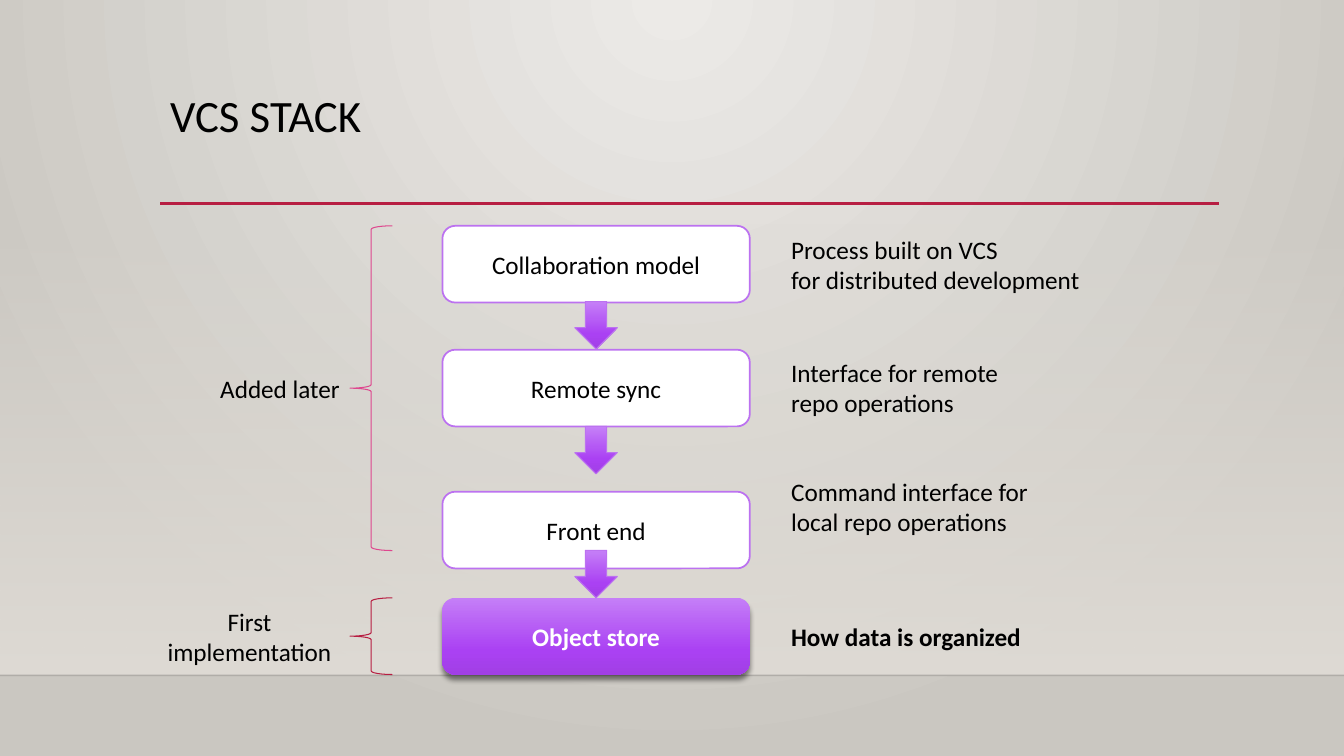
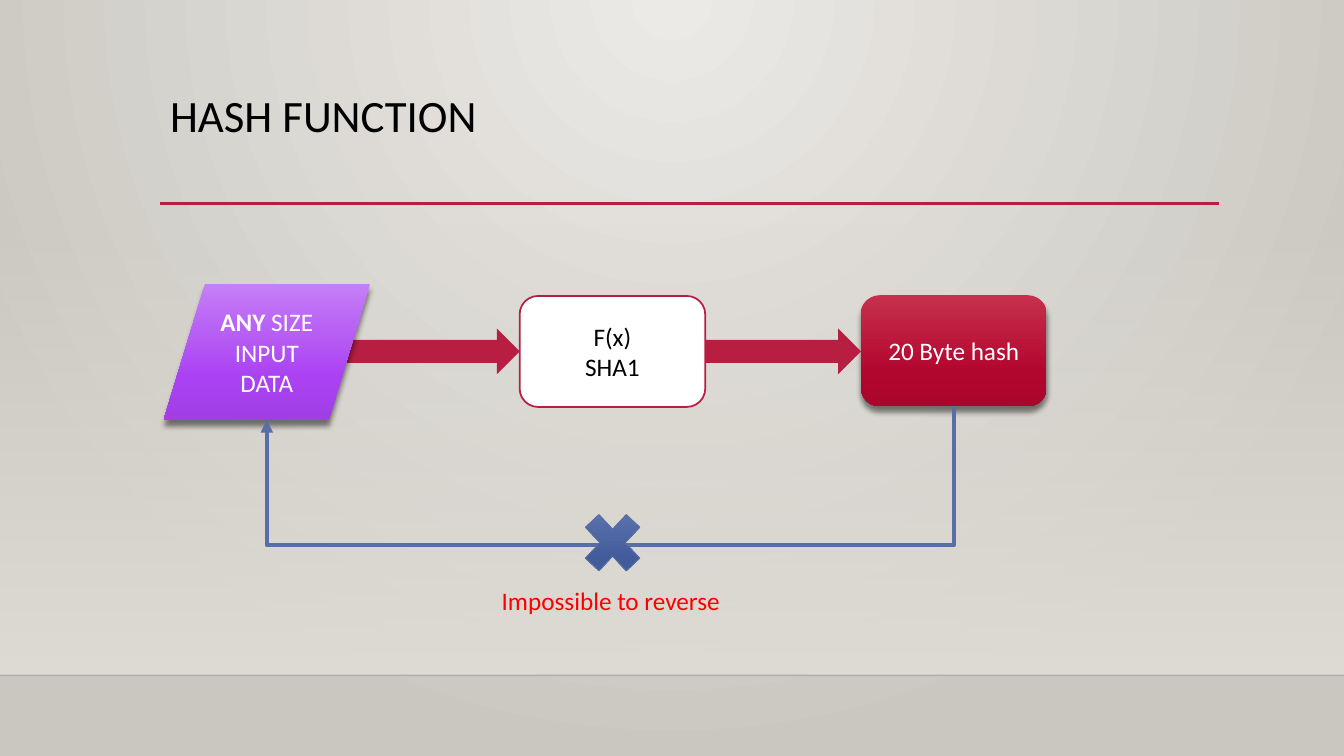
from dataclasses import dataclass
from typing import Any, Optional

from lxml.etree import SubElement
from pptx import Presentation
from pptx.dml.color import RGBColor
from pptx.enum.shapes import MSO_CONNECTOR, MSO_SHAPE
from pptx.enum.text import MSO_ANCHOR, PP_ALIGN
from pptx.oxml.ns import qn
from pptx.util import Pt

BLACK = RGBColor(0x00, 0x00, 0x00)
WHITE = RGBColor(0xFF, 0xFF, 0xFF)
RED = RGBColor(0xFF, 0x00, 0x00)
CRIMSON = RGBColor(0xB7, 0x1E, 0x42)
PINK = RGBColor(0xDE, 0x47, 0x8E)
VIOLET = RGBColor(0xBC, 0x72, 0xF0)
BLUE = RGBColor(0x58, 0x6E, 0xA6)
SAND = RGBColor(0xDF, 0xDB, 0xD5)
BACKDROP_LIGHT = RGBColor(0xEC, 0xEA, 0xE7)
BACKDROP_DARK = RGBColor(0xCA, 0xC7, 0xC1)
FONT = "Calibri"


@dataclass(frozen=True)
class Stop:
    percent: int
    color: RGBColor
    alpha: int = 100


@dataclass(frozen=True)
class Box:
    left: float
    top: float
    width: float
    height: float


@dataclass(frozen=True)
class Layer:
    name: str
    note: str
    top: float
    note_top: float
    stored: bool = False


@dataclass(frozen=True)
class Era:
    label: str
    label_box: Box
    align: PP_ALIGN
    brace_top: float
    brace_height: float
    color: RGBColor


def glossy(light: RGBColor, middle: RGBColor, dark: RGBColor) -> list[Stop]:
    return [Stop(0, light), Stop(69, middle), Stop(100, dark)]


PURPLE_GLOSS = glossy(RGBColor(0xC5, 0x7F, 0xF7), RGBColor(0xAA, 0x41, 0xF3), RGBColor(0xA1, 0x3F, 0xE5))
CRIMSON_GLOSS = glossy(RGBColor(0xC7, 0x30, 0x4C), RGBColor(0xB3, 0x06, 0x2F), RGBColor(0xAA, 0x06, 0x2C))
BLUE_GLOSS = glossy(RGBColor(0x63, 0x78, 0xB0), RGBColor(0x42, 0x5B, 0x9B), RGBColor(0x3F, 0x57, 0x93))

LAYER_LEFT, LAYER_WIDTH, LAYER_HEIGHT = 316, 219.6, 54.8
NOTE_LEFT, NOTE_WIDTH = 558, 254
ARROW_LEFT, ARROW_WIDTH, ARROW_HEIGHT = 410.6, 30.4, 33.9
BRACE_LEFT, BRACE_WIDTH = 250, 30.4
STACK_TOP, STORE_TOP = 161.3, 427
ARROW_TOPS = (215.4, 304.6, STORE_TOP - ARROW_HEIGHT)

LAYERS = (
    Layer("Object store", "How data is organized", STORE_TOP, STORE_TOP, stored=True),
    Layer("Front end", "Command interface for\nlocal repo operations", 351.2, 334.3),
    Layer("Remote sync", "Interface for remote\nrepo operations", 249.8, 249.1),
    Layer("Collaboration model", "Process built on VCS\nfor distributed development", STACK_TOP, STACK_TOP),
)
ERAS = (
    Era("Added later", Box(112.3, 241.6, 137.5, 72), PP_ALIGN.RIGHT, STACK_TOP, 232, PINK),
    Era("First\nimplementation", Box(112.3, STORE_TOP, 131.8, LAYER_HEIGHT), PP_ALIGN.CENTER,
        STORE_TOP, LAYER_HEIGHT, CRIMSON),
)


def set_alpha(color: Any, percent: int) -> None:
    SubElement(color, qn("a:alpha"), val=str(percent * 1000))


def apply_gradient(owner: Any, stops: list[Stop], circular: bool = False) -> None:
    gradient = owner.find(".//" + qn("a:gradFill"))
    for part in list(gradient):
        gradient.remove(part)
    stop_list = SubElement(gradient, qn("a:gsLst"))
    for stop in stops:
        mark = SubElement(stop_list, qn("a:gs"), pos=str(stop.percent * 1000))
        color = SubElement(mark, qn("a:srgbClr"), val=str(stop.color))
        if stop.alpha < 100:
            set_alpha(color, stop.alpha)
    if circular:
        focus = SubElement(gradient, qn("a:path"), path="circle")
        SubElement(focus, qn("a:fillToRect"), l="43000", t="0", r="43000", b="100000")
    else:
        SubElement(gradient, qn("a:lin"), ang="5400000", scaled="0")


def write(shape: Any, text: str, *, size: float = 18, color: RGBColor = BLACK, bold: bool = False,
          lead: str = "", align: PP_ALIGN = PP_ALIGN.LEFT, anchor: MSO_ANCHOR = MSO_ANCHOR.MIDDLE,
          spacing: Optional[float] = None) -> None:
    frame = shape.text_frame
    frame.word_wrap = True
    frame.vertical_anchor = anchor
    for index, line in enumerate(text.split("\n")):
        paragraph = frame.add_paragraph() if index else frame.paragraphs[0]
        paragraph.alignment = align
        paragraph.line_spacing = spacing
        pieces = [(lead, True)] if lead and index == 0 else []
        for words, strong in pieces + [(line, bold)]:
            run = paragraph.add_run()
            run.text = words
            run.font.name = FONT
            run.font.size = Pt(size)
            run.font.bold = strong
            run.font.color.rgb = color


def add_label(slide: Any, box: Box, text: str, **text_format: Any) -> None:
    label = slide.shapes.add_textbox(Pt(box.left), Pt(box.top), Pt(box.width), Pt(box.height))
    write(label, text, **text_format)


def add_figure(slide: Any, kind: MSO_SHAPE, box: Box, *, fill: Optional[RGBColor] = None,
               gloss: Optional[list[Stop]] = None, outline: Optional[RGBColor] = None,
               weight: float = 0.75, shadow: bool = False) -> Any:
    figure = slide.shapes.add_shape(kind, Pt(box.left), Pt(box.top), Pt(box.width), Pt(box.height))
    figure.shadow.inherit = False
    if gloss:
        figure.fill.gradient()
        apply_gradient(figure._element, gloss)
    elif fill is not None:
        figure.fill.solid()
        figure.fill.fore_color.rgb = fill
    else:
        figure.fill.background()
    if outline is not None:
        figure.line.color.rgb = outline
        figure.line.width = Pt(weight)
    else:
        figure.line.fill.background()
    if shadow:
        effects = figure._element.spPr.find(qn("a:effectLst"))
        cast = SubElement(effects, qn("a:outerShdw"), blurRad=str(Pt(4)), dist=str(Pt(4)),
                          dir="5400000", rotWithShape="0")
        set_alpha(SubElement(cast, qn("a:srgbClr"), val=str(BLACK)), 48)
    return figure


def add_line(slide: Any, start: tuple[float, float], end: tuple[float, float], color: RGBColor,
             weight: float, kind: MSO_CONNECTOR = MSO_CONNECTOR.STRAIGHT) -> Any:
    line = slide.shapes.add_connector(kind, Pt(start[0]), Pt(start[1]), Pt(end[0]), Pt(end[1]))
    line.line.color.rgb = color
    line.line.width = Pt(weight)
    SubElement(line._element.spPr, qn("a:effectLst"))
    return line


def start_slide(deck: Any, title: str) -> Any:
    slide = deck.slides.add_slide(deck.slide_layouts[6])
    slide.background.fill.gradient()
    apply_gradient(slide._element, [Stop(0, BACKDROP_LIGHT), Stop(100, BACKDROP_DARK)], circular=True)
    add_figure(slide, MSO_SHAPE.RECTANGLE, Box(0, 159, 960, 323.4), gloss=[Stop(0, SAND, 0), Stop(100, SAND)])
    floor = add_line(slide, (0, 482.4), (960, 482.4), BLACK, 1)
    set_alpha(floor._element.find(".//" + qn("a:srgbClr")), 20)
    add_line(slide, (114.4, 145.2), (870.9, 145.2), CRIMSON, 2.5)
    add_label(slide, Box(114.4, 63.3, 756, 82.6), title, size=32, anchor=MSO_ANCHOR.TOP, spacing=0.9)
    return slide


def build_vcs_stack(deck: Any) -> None:
    slide = start_slide(deck, "VCS STACK")
    for layer in LAYERS:
        box = Box(LAYER_LEFT, layer.top, LAYER_WIDTH, LAYER_HEIGHT)
        if layer.stored:
            block = add_figure(slide, MSO_SHAPE.ROUNDED_RECTANGLE, box, gloss=PURPLE_GLOSS, shadow=True)
        else:
            block = add_figure(slide, MSO_SHAPE.ROUNDED_RECTANGLE, box, fill=WHITE, outline=VIOLET, weight=1.25)
        write(block, layer.name, color=WHITE if layer.stored else BLACK, bold=layer.stored,
              align=PP_ALIGN.CENTER)
        add_label(slide, Box(NOTE_LEFT, layer.note_top, NOTE_WIDTH, LAYER_HEIGHT), layer.note, bold=layer.stored)
    for top in ARROW_TOPS:
        add_figure(slide, MSO_SHAPE.DOWN_ARROW, Box(ARROW_LEFT, top, ARROW_WIDTH, ARROW_HEIGHT),
                   gloss=PURPLE_GLOSS, outline=VIOLET)
    for era in ERAS:
        add_figure(slide, MSO_SHAPE.LEFT_BRACE, Box(BRACE_LEFT, era.brace_top, BRACE_WIDTH, era.brace_height),
                   outline=era.color)
        add_label(slide, era.label_box, era.label, align=era.align)


def add_return_route(slide: Any, start: tuple[float, float], end: tuple[float, float], low: float) -> None:
    span, drop = start[0] - end[0], end[1] - start[1]
    middle_x, middle_y = (start[0] + end[0]) / 2, (start[1] + end[1]) / 2
    route = add_line(slide, (middle_x - drop / 2, middle_y - span / 2),
                     (middle_x + drop / 2, middle_y + span / 2), BLUE, 3, MSO_CONNECTOR.ELBOW)
    properties = route._element.spPr
    properties.find(qn("a:xfrm")).set("rot", "5400000")
    bend = round((low - start[1]) / drop * 100000)
    guides = properties.find(qn("a:prstGeom")).get_or_add_avLst()
    SubElement(guides, qn("a:gd"), name="adj1", fmla=f"val {bend}")
    SubElement(properties.find(qn("a:ln")), qn("a:tailEnd"), type="triangle")


def build_hash_function(deck: Any) -> None:
    slide = start_slide(deck, "HASH FUNCTION")
    digest = add_figure(slide, MSO_SHAPE.ROUNDED_RECTANGLE, Box(615, 210.9, 132.6, 79.3),
                        gloss=CRIMSON_GLOSS, shadow=True)
    write(digest, "20 Byte hash", color=WHITE, align=PP_ALIGN.CENTER)
    for left in (245.9, 489.7):
        add_figure(slide, MSO_SHAPE.RIGHT_ARROW, Box(left, 234.7, 125.3, 32.6), fill=CRIMSON)
    function = add_figure(slide, MSO_SHAPE.ROUNDED_RECTANGLE, Box(371.2, 211.4, 132.6, 79.3),
                          fill=WHITE, outline=CRIMSON, weight=1.25)
    write(function, "F(x)\nSHA1", align=PP_ALIGN.CENTER)
    source = add_figure(slide, MSO_SHAPE.FLOWCHART_DATA, Box(116.9, 203, 147.4, 97),
                        gloss=PURPLE_GLOSS, shadow=True)
    write(source, " SIZE INPUT DATA", lead="ANY", color=WHITE, align=PP_ALIGN.CENTER)
    add_return_route(slide, (681.3, 290.2), (190.6, 300), 389.3)
    add_figure(slide, MSO_SHAPE.MATH_MULTIPLY, Box(409.6, 357.8, 56, 59.8), gloss=BLUE_GLOSS, outline=BLUE)
    add_label(slide, Box(346.3, 414.4, 180, 29), "Impossible to reverse", color=RED, align=PP_ALIGN.CENTER)


def main() -> None:
    deck = Presentation()
    deck.slide_width, deck.slide_height = Pt(960), Pt(540)
    build_vcs_stack(deck)
    build_hash_function(deck)
    deck.save("out.pptx")


if __name__ == "__main__":
    main()
